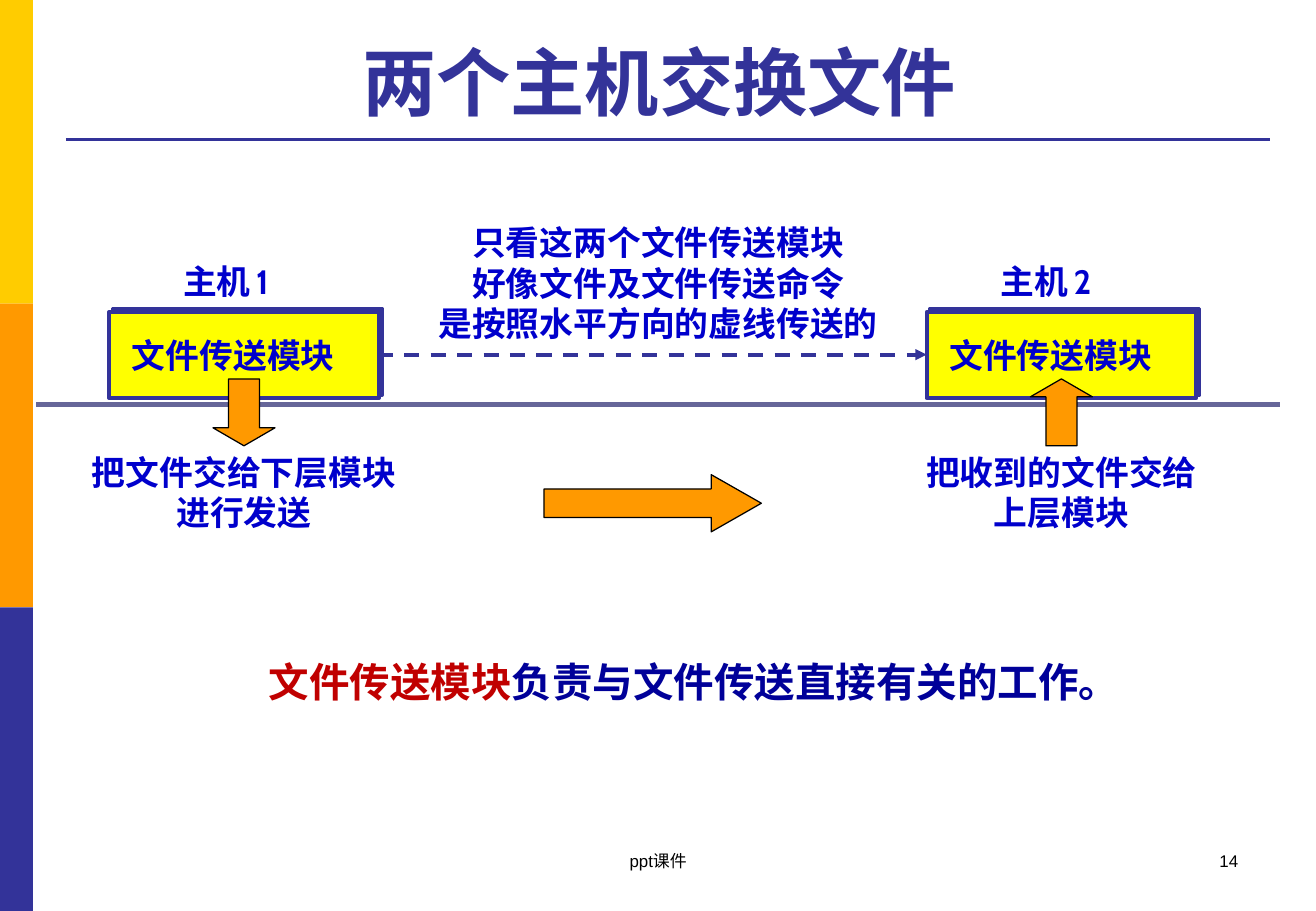
from collections import namedtuple
from dataclasses import dataclass

from lxml.etree import SubElement
from pptx import Presentation
from pptx.dml.color import RGBColor
from pptx.enum.dml import MSO_LINE_DASH_STYLE as Dash
from pptx.enum.shapes import MSO_CONNECTOR as Connector, MSO_SHAPE as Shape
from pptx.enum.text import MSO_ANCHOR as Anchor, MSO_AUTO_SIZE as AutoSize, PP_ALIGN as Align
from pptx.oxml.ns import qn
from pptx.util import Inches, Pt

Box = namedtuple("Box", "left top width height")


@dataclass(frozen=True)
class Theme:
    navy: str = "333399"
    gold: str = "FFCC00"
    orange: str = "FF9900"
    yellow: str = "FFFF00"
    slate: str = "666699"
    black: str = "000000"
    blue: str = "0000CC"
    red: str = "C00000"
    ink: str = "000099"
    heading_font: str = "Arial"
    body_font: str = "Cabin"
    title_size: int = 44
    summary_size: int = 24
    body_size: int = 20
    gap_size: int = 14
    footer_size: int = 10


THEME = Theme()
BODY = {"name": THEME.body_font, "size": THEME.body_size, "color": THEME.blue, "bold": True}
TITLE = {"name": THEME.heading_font, "size": THEME.title_size, "color": THEME.navy, "bold": True}
FOOTER = {"name": THEME.heading_font, "size": THEME.footer_size, "color": THEME.black}


def share(box, left, top, width=0, height=0):
    return Box(box.left + left * box.width, box.top + top * box.height,
               width * box.width, height * box.height)


def measures(box):
    return [int(value) for value in box]


def set_font(font, style):
    values = {**style, "size": Pt(style["size"])}
    font.color.rgb = RGBColor.from_string(values.pop("color"))
    for name, value in values.items():
        setattr(font, name, value)


def add_text(slide, box, lines, style, align=Align.CENTER, wrap=False, anchor=Anchor.TOP):
    frame = slide.shapes.add_textbox(*measures(box)).text_frame
    settings = {"word_wrap": wrap, "vertical_anchor": anchor,
                "auto_size": AutoSize.NONE if wrap else AutoSize.SHAPE_TO_FIT_TEXT}
    for name, value in settings.items():
        setattr(frame, name, value)
    for index, line in enumerate(lines):
        paragraph = frame.add_paragraph() if index else frame.paragraphs[0]
        paragraph.alignment = align
        for text, changes in ([(line, {})] if isinstance(line, str) else line):
            run = paragraph.add_run()
            run.text = text
            set_font(run.font, {**style, **changes})


def add_block(slide, box, kind, fill, line=None, width=0.75, adjustments=()):
    shape = slide.shapes.add_shape(kind, *measures(box))
    shape.shadow.inherit = False
    shape.fill.solid()
    shape.fill.fore_color.rgb = RGBColor.from_string(fill)
    if line:
        shape.line.color.rgb = RGBColor.from_string(line)
        shape.line.width = Pt(width)
    else:
        shape.line.fill.background()
    for index, value in enumerate(adjustments):
        shape.adjustments[index] = value
    return shape


def add_shadow(shape, color):
    effects = shape.element.spPr.find(qn("a:effectLst"))
    shadow = SubElement(effects, qn("a:outerShdw"), dist=str(Pt(2.8)),
                        dir=str(315 * 60000), algn="ctr", rotWithShape="0")
    SubElement(shadow, qn("a:srgbClr"), val=color)


def add_line(slide, box, color, width, dashed_arrow=False):
    left, top, length, _ = measures(box)
    connector = slide.shapes.add_connector(Connector.STRAIGHT, left, top, left + length, top)
    connector.line.color.rgb = RGBColor.from_string(color)
    connector.line.width = Pt(width)
    if dashed_arrow:
        connector.line.dash_style = Dash.DASH
        SubElement(connector.line._get_or_add_ln(), qn("a:tailEnd"), type="triangle")
    SubElement(connector.element.spPr, qn("a:effectLst"))


def draw_side_bar(slide, box):
    colors = (THEME.gold, THEME.orange, THEME.navy)
    for row, color in enumerate(colors):
        add_block(slide, share(box, 0, row / len(colors), 1, 1 / len(colors)),
                  Shape.RECTANGLE, color)


def draw_title(slide, box):
    add_line(slide, share(box, 0, 1.08, 1), THEME.navy, 2.25)
    add_text(slide, box, ["两个主机交换文件 "], TITLE, wrap=True, anchor=Anchor.BOTTOM)


def draw_host(slide, box, number, arrow, note):
    module = add_block(slide, box, Shape.RECTANGLE, THEME.yellow, THEME.navy, 2.25)
    add_shadow(module, THEME.navy)
    add_text(slide, share(box, 0.04, 0.2, 0.85, 0.62), ["文件传送模块"], BODY, Align.LEFT)
    label = [("主机", {}), (" ", {"size": THEME.gap_size}), (number, {})]
    add_text(slide, share(box, 0.23, -0.66, 0.45, 0.62), [label], BODY, Align.LEFT)
    add_block(slide, share(box, 0.385, 0.775, 0.23, 0.775), arrow,
              THEME.orange, THEME.black, adjustments=(0.5, 0.29))
    add_text(slide, share(box, -0.115, 1.55, 1.23, 1.08), note, BODY)


def draw_exchange(slide, box):
    add_line(slide, share(box, -0.067, 0.583, 1.144), THEME.slate, 3)
    hosts = (
        (0, "1", Shape.DOWN_ARROW, ["把文件交给下层模块", "进行发送"]),
        (0.752, "2", Shape.UP_ARROW, ["把收到的文件交给", "上层模块"]),
    )
    for left, number, arrow, note in hosts:
        draw_host(slide, share(box, left, 0.297, 0.248, 0.267), number, arrow, note)
    add_line(slide, share(box, 0.247, 0.429, 0.505), THEME.navy, 2.25, dashed_arrow=True)
    remark = ["只看这两个文件传送模块", "好像文件及文件传送命令", "是按照水平方向的虚线传送的"]
    add_text(slide, share(box, 0.29, 0, 0.43, 0.417), remark, BODY)
    add_block(slide, share(box, 0.4, 0.8, 0.2, 0.177), Shape.RIGHT_ARROW,
              THEME.orange, THEME.black, adjustments=(0.5, 0.876))


def draw_summary(slide, box):
    sentence = [("文件传送模块", {"color": THEME.red}),
                ("负责与文件传送直接有关的工作。", {"color": THEME.ink})]
    add_text(slide, box, [sentence], {**BODY, "size": THEME.summary_size}, Align.LEFT, True)


def draw_footer(slide, box):
    add_text(slide, share(box, 0, 0, 0.52, 1), ["ppt课件"], FOOTER, wrap=True)
    add_text(slide, share(box, 0.616, 0, 0.384, 1), ["14"], FOOTER, Align.RIGHT, True)


def main():
    presentation = Presentation()
    presentation.slide_width = Inches(10.83)
    presentation.slide_height = Inches(7.5)
    slide = presentation.slides.add_slide(presentation.slide_layouts[6])
    page = Box(0, 0, presentation.slide_width, presentation.slide_height)
    regions = (
        (draw_side_bar, (0, 0, 0.025, 1)),
        (draw_title, (0.05, 0.028, 0.915, 0.116)),
        (draw_exchange, (0.083, 0.237, 0.826, 0.355)),
        (draw_summary, (0.195, 0.715, 0.68, 0.067)),
        (draw_footer, (0.342, 0.927, 0.608, 0.067)),
    )
    for draw, place in regions:
        draw(slide, share(page, *place))
    presentation.save("out.pptx")


if __name__ == "__main__":
    main()
